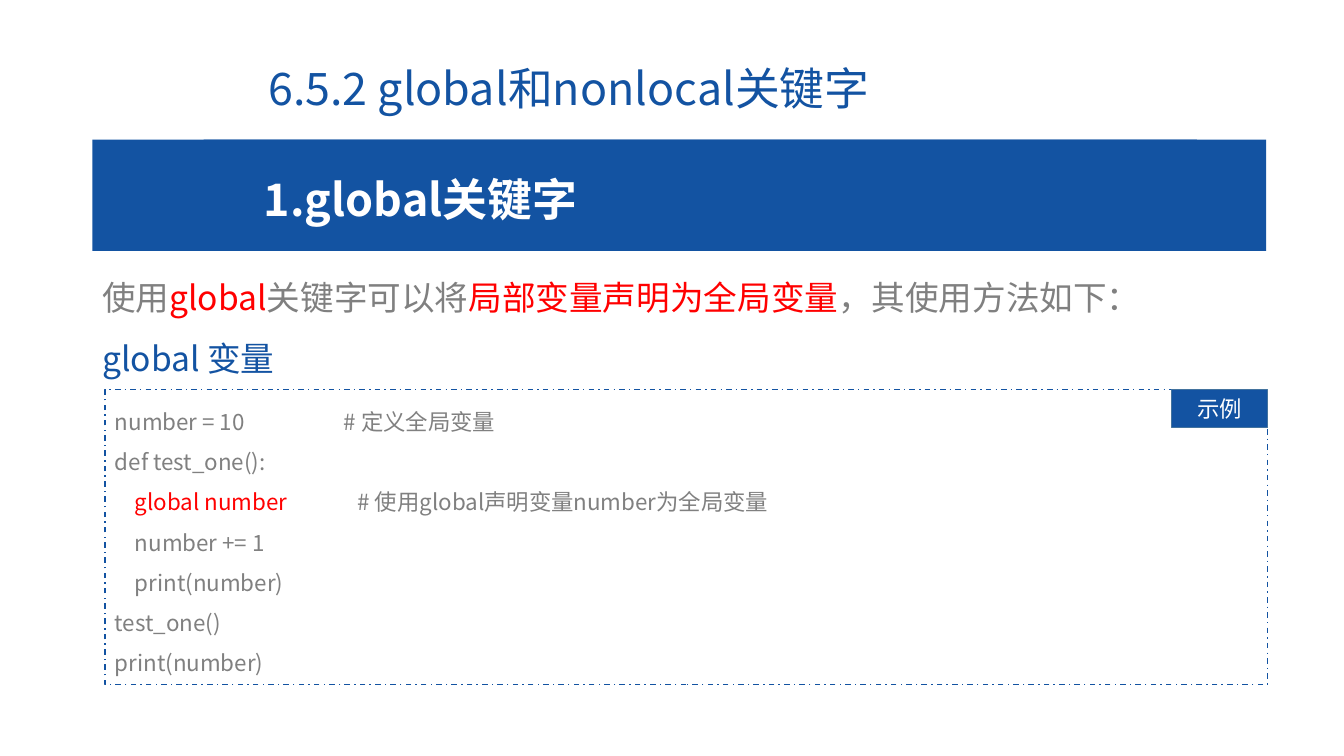
from lxml import etree
from pptx import Presentation
from pptx import util as u
from pptx.dml.color import RGBColor
from pptx.enum import dml, shapes, text
from pptx.oxml import ns

PX = 9525
FONT = "Noto Sans CJK SC"
BLUE = RGBColor(0x13, 0x53, 0xA2)
EDGE = RGBColor(0x43, 0x73, 0x9E)
GREY = RGBColor(0x80, 0x80, 0x80)
RED = RGBColor(0xFF, 0x00, 0x00)
WHITE = RGBColor(0xFF, 0xFF, 0xFF)


def px(*lengths):
    return [u.Emu(length * PX) for length in lengths]


def add_panel(slide, box, fill=None, line=None, dash=None):
    panel = slide.shapes.add_shape(shapes.MSO_SHAPE.RECTANGLE, *px(*box))
    panel.shadow.inherit = False
    if fill is None:
        panel.fill.background()
    else:
        panel.fill.solid()
        panel.fill.fore_color.rgb = fill
    if line is None:
        panel.line.fill.background()
    else:
        panel.line.color.rgb = line
        panel.line.width = u.Pt(1)
        if dash is not None:
            panel.line.dash_style = dash
    return panel


def write(holder, lines, size, spacing=1.0, bold=False, align=text.PP_ALIGN.LEFT,
          anchor=text.MSO_ANCHOR.TOP, indent=0, tabs=None):
    frame = holder.text_frame
    frame.word_wrap = True
    frame.vertical_anchor = anchor
    for number, pieces in enumerate(lines):
        line = frame.paragraphs[0] if number == 0 else frame.add_paragraph()
        line.alignment = align
        line.line_spacing = spacing
        properties = line._p.get_or_add_pPr()
        if indent:
            properties.set("indent", str(indent * PX))
        if tabs and number in tabs:
            stops = etree.SubElement(properties, ns.qn("a:tabLst"))
            etree.SubElement(stops, ns.qn("a:tab"), pos=str(tabs[number] * PX), algn="l")
        for words, colour in pieces:
            run = line.add_run()
            run.text = words
            run.font.size = u.Pt(size)
            run.font.bold = bold
            run.font.color.rgb = colour
            run.font.name = FONT
            etree.SubElement(run._r.get_or_add_rPr(), ns.qn("a:ea"), typeface=FONT)


def add_title(slide, box):
    title = slide.shapes.add_textbox(*px(*box))
    write(title, [[("6.5.2 global和nonlocal关键字", BLUE)]], 32, 0.9,
          anchor=text.MSO_ANCHOR.MIDDLE)


def add_section_band(slide, box):
    left, top, width, height = box
    add_panel(slide, box, BLUE)
    heading = add_panel(slide, (left + 106, top, width - 172, height - 28), BLUE)
    write(heading, [[("1.global关键字", WHITE)]], 32, 1.5, bold=True, indent=48)


def add_intro(slide, box):
    intro = slide.shapes.add_textbox(*px(*box))
    write(intro, [
        [("使用", GREY), ("global", RED), ("关键字可以将", GREY),
         ("局部变量声明为全局变量", RED), ("，其使用方法如下：", GREY)],
        [("global 变量", BLUE)],
    ], 24, 1.5)


def add_example(slide, box):
    left, top, width, height = box
    code = add_panel(slide, box, line=BLUE, dash=dml.MSO_LINE.DASH_DOT)
    write(code, [
        [("number = 10\t# 定义全局变量", GREY)],
        [("def test_one():", GREY)],
        [("    ", GREY), ("global number", RED),
         ("\t# 使用global声明变量number为全局变量", GREY)],
        [("    number += 1", GREY)],
        [("    print(number)", GREY)],
        [("test_one()", GREY)],
        [("print(number)", GREY)],
    ], 16, 1.5, tabs={0: 218, 2: 231})
    tag_width = 91
    tag = add_panel(slide, (left + width - tag_width, top, tag_width, 36), BLUE, EDGE)
    write(tag, [[("示例", WHITE)]], 16, align=text.PP_ALIGN.CENTER,
          anchor=text.MSO_ANCHOR.MIDDLE)


def main():
    deck = Presentation()
    deck.slide_width, deck.slide_height = px(1280, 720)
    slide = deck.slides.add_slide(deck.slide_layouts[6])
    add_section_band(slide, (88, 133, 1118, 106))
    add_example(slide, (100, 371, 1107, 281))
    add_intro(slide, (88, 240, 1118, 126))
    add_title(slide, (246, 59, 735, 56))
    deck.save("out.pptx")


if __name__ == "__main__":
    main()
